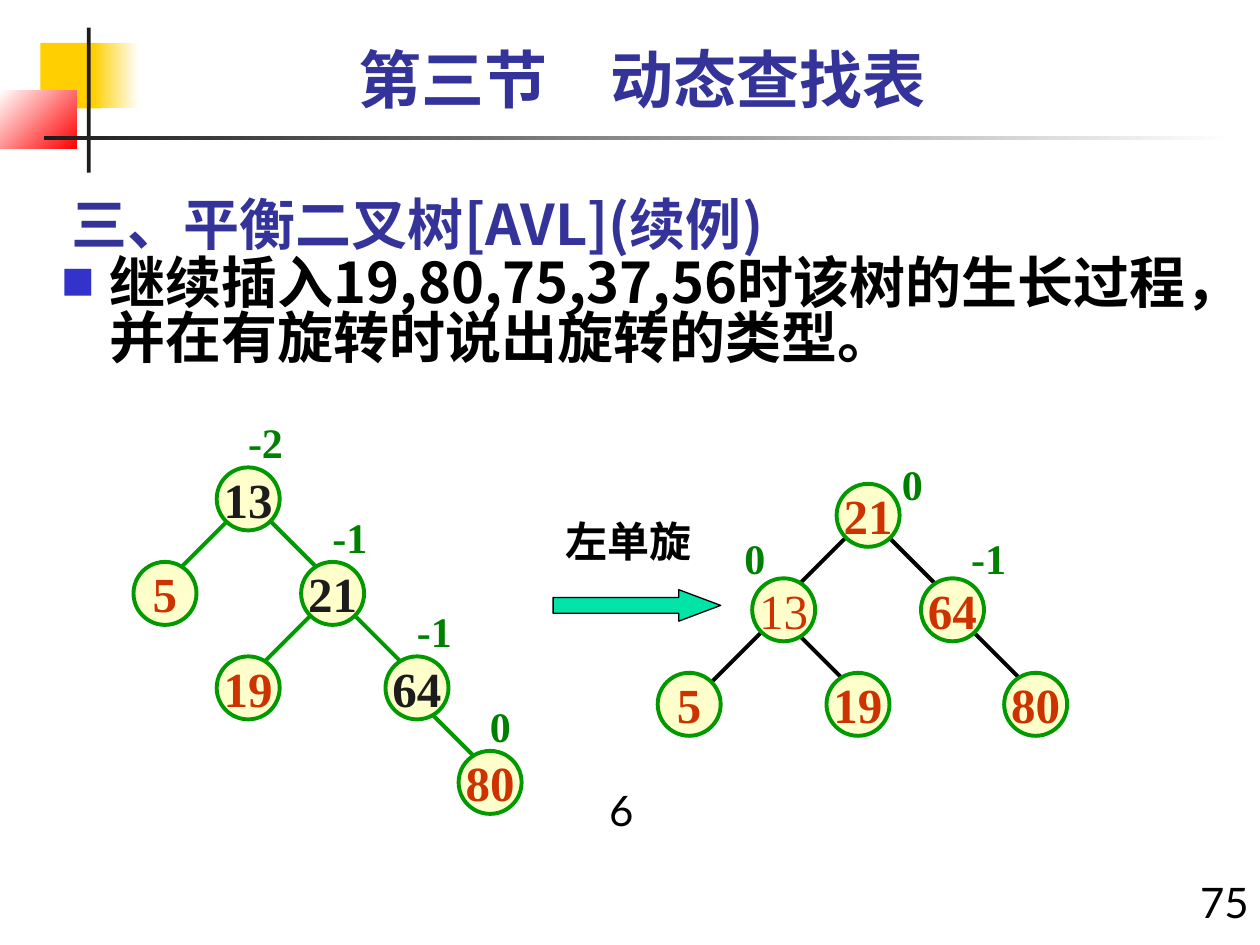
"""Build a slide showing the left rotation of an AVL tree."""
from dataclasses import dataclass

from lxml.etree import SubElement
from pptx import Presentation
from pptx.dml.color import RGBColor as Color
from pptx.enum.shapes import MSO_CONNECTOR as Connector, MSO_SHAPE as Shape
from pptx.enum.text import MSO_ANCHOR as Anchor, MSO_AUTO_SIZE as AutoSize, PP_ALIGN as Align
from pptx.oxml.ns import qn
from pptx.util import Inches, Pt


@dataclass(frozen=True)
class Theme:
    heading: str = "333399"
    bullet: str = "3333CC"
    black: str = "000000"
    dark: str = "1C1C1C"
    white: str = "FFFFFF"
    yellow: str = "FFCF01"
    red: str = "FF0000"
    cream: str = "FFFFCC"
    green: str = "009900"
    balance: str = "008000"
    key: str = "CC3300"
    arrow: str = "00E4A8"
    sans: str = "Lato"
    chinese: str = "Noto Sans CJK SC"
    serif: str = "Times New Roman"
    heading_size: int = 36
    body_size: int = 32
    node_size: int = 28
    label_size: int = 24


theme = Theme()


def write(shape, text, size, color, font, bold=True, align=Align.LEFT, wrap=True, spacing=1.0):
    frame = shape.text_frame
    frame.text = text
    frame.word_wrap = wrap
    frame.auto_size = AutoSize.NONE
    para = frame.paragraphs[0]
    para.alignment = align
    para.space_before = Pt(0)
    para.line_spacing = spacing
    span = para.runs[0]
    span.font.size = Pt(size)
    span.font.bold = bold
    span.font.name = font
    span.font.color.rgb = Color.from_string(color)
    SubElement(span.font._element, qn("a:ea"), typeface=theme.chinese)
    return para


def add_filled(shapes, kind, place, fill, line=None, width=0):
    shape = shapes.add_shape(kind, *map(Inches, place))
    shape.shadow.inherit = False
    shape.fill.solid()
    shape.fill.fore_color.rgb = Color.from_string(fill)
    if line:
        shape.line.color.rgb = Color.from_string(line)
        shape.line.width = Pt(width)
    else:
        shape.line.fill.background()
    return shape


deck = Presentation()
deck.slide_width, deck.slide_height = Inches(10), Inches(7.5)
page = deck.slides.add_slide(deck.slide_layouts[1])

decorations = [
    ((0.32, 0.34, 0.48, 0.52), theme.yellow, None, 0),
    ((0.74, 0.34, 0.36, 0.52), theme.yellow, theme.white, 0),
    ((0, 0.72, 0.61, 0.46), theme.white, theme.red, 315),
    ((0.69, 0.22, 0.03, 1.15), theme.dark, None, 0),
    ((0.35, 1.08, 9.45, 0.03), theme.dark, theme.white, 0),
]
for place, start, end, angle in decorations:
    block = add_filled(page.shapes, Shape.RECTANGLE, place, start)
    if end:
        block.fill.gradient()
        block.fill.gradient_angle = angle
        for stop, color in zip(block.fill.gradient_stops, (start, end)):
            stop.color.rgb = Color.from_string(color)

title = page.shapes.title
title.left, title.top, title.width, title.height = map(Inches, (0.47, 1.34, 7.75, 0.75))
write(title, "三、平衡二叉树[AVL](续例)", theme.body_size, theme.heading, theme.chinese)
title.text_frame.vertical_anchor = Anchor.BOTTOM

body = page.placeholders[1]
body.left, body.top, body.width, body.height = map(Inches, (0.39, 2.01, 9.58, 4.67))
para = write(body, "继续插入19,80,75,37,56时该树的生长过程，并在有旋转时说出旋转的类型。",
             theme.body_size, theme.black, theme.chinese, spacing=0.82)
settings = para._p.get_or_add_pPr()
settings.set("marL", str(Inches(0.38)))
settings.set("indent", str(-Inches(0.38)))
bullet_color = SubElement(settings, qn("a:buClr"))
SubElement(bullet_color, qn("a:srgbClr"), val=theme.bullet)
SubElement(settings, qn("a:buSzPct"), val="60000")
SubElement(settings, qn("a:buFont"), typeface=theme.chinese)
SubElement(settings, qn("a:buChar"), char="■")

captions = [
    ("第三节\u3000动态查找表".replace("\u3000", "　"), (0.47, 0.34, 9.25, 0.7),
     theme.heading_size, theme.heading, True, Align.CENTER),
    ("75", (9.34, 6.91, 0.67, 0.59), theme.label_size, theme.black, False, Align.RIGHT),
    ("6", (4.64, 6.18, 0.58, 0.5), theme.label_size, theme.black, False, Align.CENTER),
    ("左单旋", (4.39, 4.09, 1.2, 0.5), theme.label_size, theme.black, True, Align.LEFT),
]
for text, place, size, color, bold, align in captions:
    box = page.shapes.add_textbox(*map(Inches, place))
    write(box, text, size, color, theme.sans, bold, align, spacing=0.9 if bold else 1.0)

arrow = add_filled(page.shapes, Shape.RIGHT_ARROW, (4.39, 4.68, 1.33, 0.25),
                   theme.arrow, theme.black, 0.75)
arrow.adjustments[0], arrow.adjustments[1] = 0.5, 1.33

trees = [
    {
        "color": theme.green,
        "edges": [(1.81, 4.13, -0.42), (2.14, 4.13, 0.42), (2.81, 4.88, 0.42),
                  (3.39, 5.63, 0.5), (2.47, 4.88, -0.5)],
        "nodes": [("5", 1.06, 4.46, theme.key, True), ("13", 1.72, 3.71, theme.dark, True),
                  ("21", 2.39, 4.46, theme.dark, True), ("80", 3.64, 5.96, theme.key, True),
                  ("19", 1.72, 5.21, theme.key, True), ("64", 3.06, 5.21, theme.dark, True)],
        "balances": [("0", 3.79, 5.51), ("-1", 3.21, 4.76), ("-1", 2.54, 4.01),
                     ("-2", 1.87, 3.26)],
    },
    {
        "color": theme.black,
        "edges": [(6.97, 4.18, 0.5), (7.64, 4.93, 0.5), (6.05, 5.01, -0.42),
                  (6.31, 5.01, 0.5), (6.72, 4.26, -0.42)],
        "nodes": [("5", 5.22, 5.34, theme.key, True), ("64", 7.31, 4.59, theme.key, True),
                  ("19", 6.56, 5.34, theme.key, True), ("13", 5.97, 4.59, theme.key, False),
                  ("21", 6.64, 3.84, theme.key, True), ("80", 7.97, 5.34, theme.key, True)],
        "balances": [("0", 5.81, 4.18), ("0", 7.06, 3.59), ("-1", 7.61, 4.18)],
    },
]
for tree in trees:
    group = page.shapes.add_group_shape().shapes
    for x, y, run in tree["edges"]:
        edge = group.add_connector(Connector.STRAIGHT, Inches(x), Inches(y),
                                   Inches(x + run), Inches(y + abs(run)))
        edge.line.color.rgb = Color.from_string(tree["color"])
        edge.line.width = Pt(2.25)
        SubElement(edge._element.spPr, qn("a:effectLst"))
    for key, x, y, color, bold in tree["nodes"]:
        node = add_filled(group, Shape.OVAL, (x, y, 0.5, 0.5), theme.cream, theme.green, 2.25)
        write(node, key, theme.node_size, color, theme.serif, bold, Align.CENTER, False)
        node.text_frame.vertical_anchor = Anchor.MIDDLE
    for value, x, y in tree["balances"]:
        box = group.add_textbox(Inches(x), Inches(y), Inches(0.24 + 0.12 * len(value)), Inches(0.5))
        write(box, value, theme.label_size, theme.balance, theme.serif, wrap=False)

deck.save("out.pptx")
